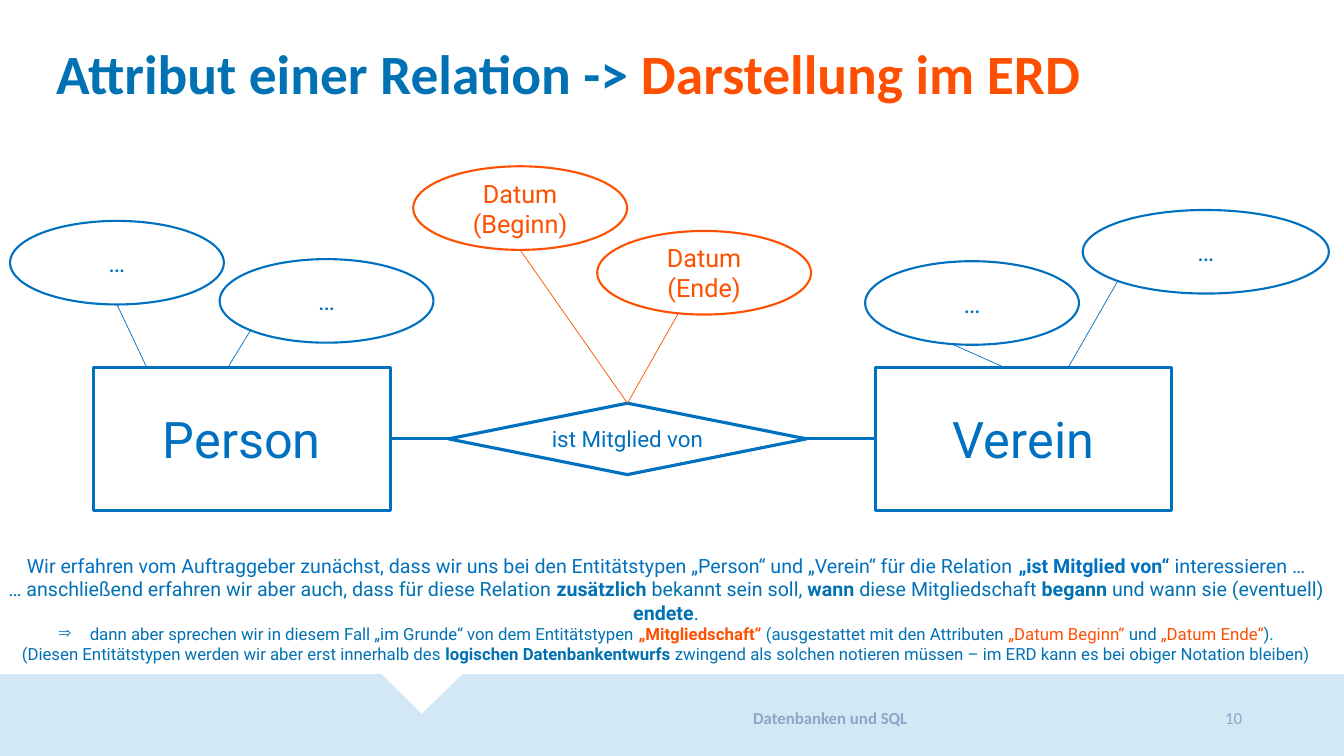
from pptx import Presentation
from pptx import util as u
from pptx.dml.color import RGBColor
from pptx.enum import shapes, text
from lxml import etree

BLUE = RGBColor(0x00, 0x70, 0xC0)
DEEP = RGBColor(0x00, 0x71, 0xB2)
FLAME = RGBColor(0xFE, 0x50, 0x00)
PALE = RGBColor(0xD2, 0xE8, 0xF4)
GREY = RGBColor(0x8C, 0xA5, 0xC9)
COLS, ROWS = 160, 90
LEFT, MID, RIGHT = text.PP_ALIGN.LEFT, text.PP_ALIGN.CENTER, text.PP_ALIGN.RIGHT
KIND = shapes.MSO_SHAPE
DRAW = "{http://schemas.openxmlformats.org/drawingml/2006/main}"


class Board:
    """Draws styled elements on one slide, placed by columns and rows."""

    def __init__(self, deck):
        self.wide, self.high = deck.slide_width, deck.slide_height
        self.items = deck.slides.add_slide(deck.slide_layouts[6]).shapes

    def x(self, col):
        return round(self.wide * col / COLS)

    def y(self, row):
        return round(self.high * row / ROWS)

    def area(self, col, row, wide, high):
        return self.x(col), self.y(row), self.x(wide), self.y(high)

    def fill(self, para, runs, size, color, font="Roboto", bold=False, align=MID):
        para.alignment = align
        style = para.font
        style.name, style.size, style.bold = font, u.Pt(size), bold
        style.color.rgb = color
        for words, *look in runs:
            run = para.add_run()
            run.text = words
            for mark in look:
                if mark == "bold":
                    run.font.bold = True
                else:
                    run.font.color.rgb = mark

    def label(self, area, anchor=text.MSO_ANCHOR.MIDDLE):
        frame = self.items.add_textbox(*self.area(*area)).text_frame
        frame.word_wrap = True
        frame.vertical_anchor = anchor
        return frame

    def node(self, kind, area, words, size, color=BLUE, line=2.25):
        item = self.items.add_shape(kind, *self.area(*area))
        item.shadow.inherit = False
        item.fill.background()
        item.line.color.rgb, item.line.width = color, u.Pt(line)
        item.text_frame.vertical_anchor = text.MSO_ANCHOR.MIDDLE
        self.fill(item.text_frame.paragraphs[0], [(words,)], size, color)

    def oval(self, col, row, words="…", color=BLUE, wide=25.45):
        self.node(KIND.OVAL, (col, row, wide, 9.95), words, 18, color, 1.5)

    def link(self, start, end, color=BLUE, width=0.5):
        item = self.items.add_connector(
            shapes.MSO_CONNECTOR.STRAIGHT,
            self.x(start[0]), self.y(start[1]), self.x(end[0]), self.y(end[1]))
        item.line.color.rgb, item.line.width = color, u.Pt(width)
        etree.SubElement(item._element.spPr, DRAW + "effectLst")

    def band(self, points):
        pen = self.items.build_freeform(self.x(points[0][0]), self.y(points[0][1]))
        pen.add_line_segments([(self.x(c), self.y(r)) for c, r in points[1:]])
        item = pen.convert_to_shape()
        item.shadow.inherit = False
        item.fill.solid()
        item.fill.fore_color.rgb = PALE
        item.line.fill.background()

    def bullet(self, para, sign, indent):
        props = para._p.get_or_add_pPr()
        props.set("marL", str(self.x(indent)))
        props.set("indent", str(-self.x(indent)))
        etree.SubElement(props, DRAW + "buChar").set("char", sign)


def main():
    deck = Presentation()
    deck.slide_width, deck.slide_height = u.Inches(13.33), u.Inches(7.5)
    board = Board(deck)

    board.band([(0, 80.25), (45.4, 80.25), (50.2, 85), (55.1, 80.25),
                (COLS, 80.25), (COLS, 90.2), (0, 90.2)])
    title = board.label((5.5, 5, 131.5, 9.5), text.MSO_ANCHOR.TOP).paragraphs[0]
    title.line_spacing = 0.9
    board.fill(title, [("Attribut einer Relation -> ",), ("Darstellung im ERD", FLAME)],
               39.6, DEEP, "Calibri", True, LEFT)
    for col, wide, words, bold, align in [
            (70.45, 56.8, "Datenbanken und SQL", True, MID),
            (127.2, 21.85, "10", False, RIGHT)]:
        foot = board.label((col, 82.8, wide, 5.4)).paragraphs[0]
        board.fill(foot, [(words,)], 12, GREY, "Calibri", bold, align)

    for col, words in [(11.15, "Person"), (104.2, "Verein")]:
        board.node(KIND.RECTANGLE, (col, 43.7, 35.3, 17.05), words, 36)
    board.node(KIND.DIAMOND, (53.4, 48, 42.6, 8.5), "ist Mitglied von", 16)
    for start, end in [(53.4, 46.45), (104.2, 96)]:
        board.link((start, 52.25), (end, 52.25), width=2.25)

    board.oval(1.2, 26.3)
    board.oval(26.15, 30.85)
    board.oval(103, 31.1)
    board.oval(128.9, 25, wide=29.3)
    for start, end in [((13.9, 36.2), (17.4, 43.6)), ((29.9, 39.2), (27.1, 43.8)),
                       ((113.2, 40.9), (119.7, 43.8)), ((133.1, 33.4), (127.2, 43.7))]:
        board.link(start, end)

    notes = [
        (14, BLUE, [
            ("Wir erfahren vom Auftraggeber zunächst, dass wir uns bei den Entitätstypen "
             "„Person“ und „Verein“ für die Relation ",),
            ("„ist Mitglied von“ ", "bold"), ("interessieren …",)]),
        (14, DEEP, [
            ("… anschließend erfahren wir aber auch, dass für diese Relation ",),
            ("zusätzlich", "bold"), (" bekannt sein soll, ",), ("wann", "bold"),
            (" diese Mitgliedschaft ",), ("begann", "bold"),
            (" und wann sie (eventuell) ",), ("endete", "bold"), (".",)]),
        (12, DEEP, [
            ("dann aber sprechen wir in diesem Fall „im Grunde“ von dem Entitätstypen ",),
            ("„Mitgliedschaft“ ", "bold", FLAME), ("(ausgestattet mit den Attributen ",),
            ("„Datum Beginn“ ", FLAME), ("und ",), ("„Datum Ende“", FLAME), (").",)]),
        (12, DEEP, [
            ("(Diesen Entitätstypen werden wir aber erst innerhalb des ",),
            ("logischen Datenbankentwurfs ", "bold"),
            ("zwingend als solchen notieren müssen – im ERD kann es bei obiger "
             "Notation bleiben)",)])]
    frame = board.label((-0.7, 65.3, COLS, 11.8), text.MSO_ANCHOR.TOP)
    for spot, (size, color, runs) in enumerate(notes):
        para = frame.add_paragraph() if spot else frame.paragraphs[0]
        if spot == 2:
            board.bullet(para, "⇒", 3.75)
        board.fill(para, runs, size, color)

    board.oval(49.2, 19.8, "Datum (Beginn)", FLAME)
    board.oval(71.1, 27.5, "Datum (Ende)", FLAME)
    for start in [(61.95, 29.8), (80.7, 37.4)]:
        board.link(start, (74.7, 48), FLAME)

    deck.save("out.pptx")


if __name__ == "__main__":
    main()
